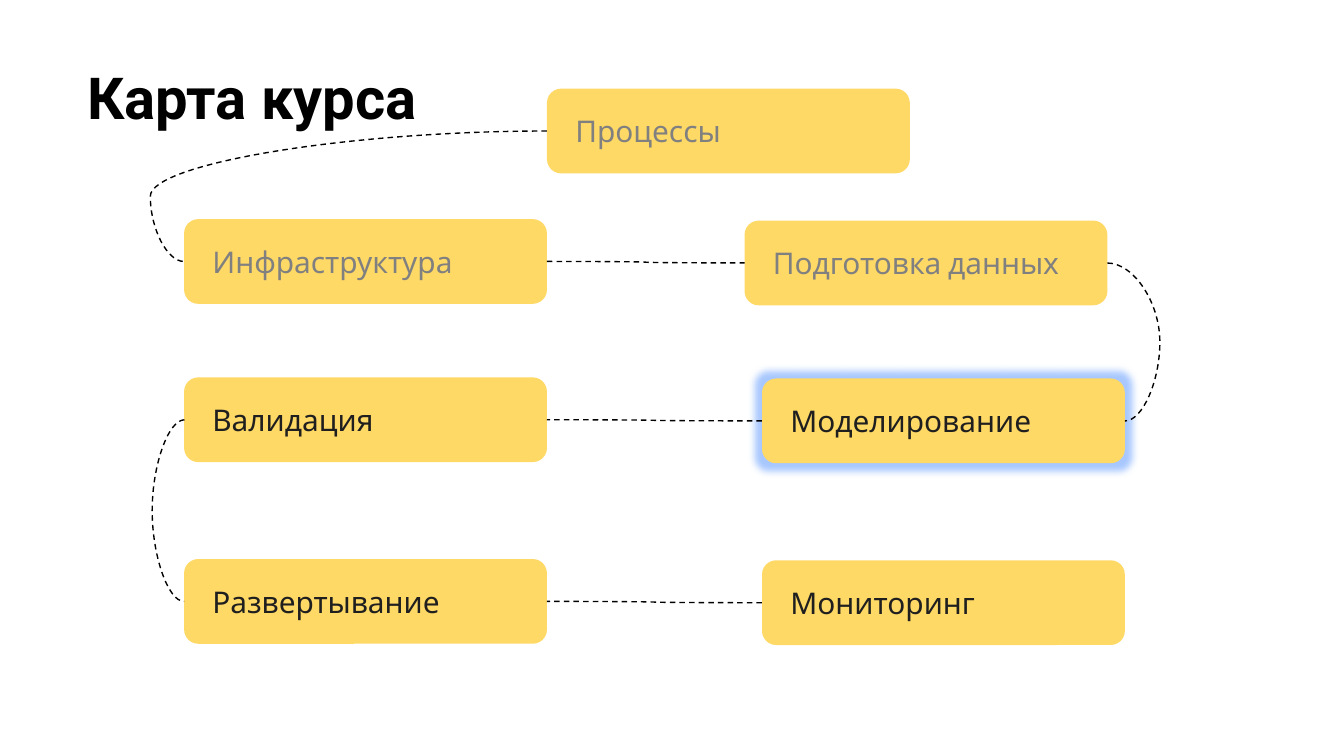
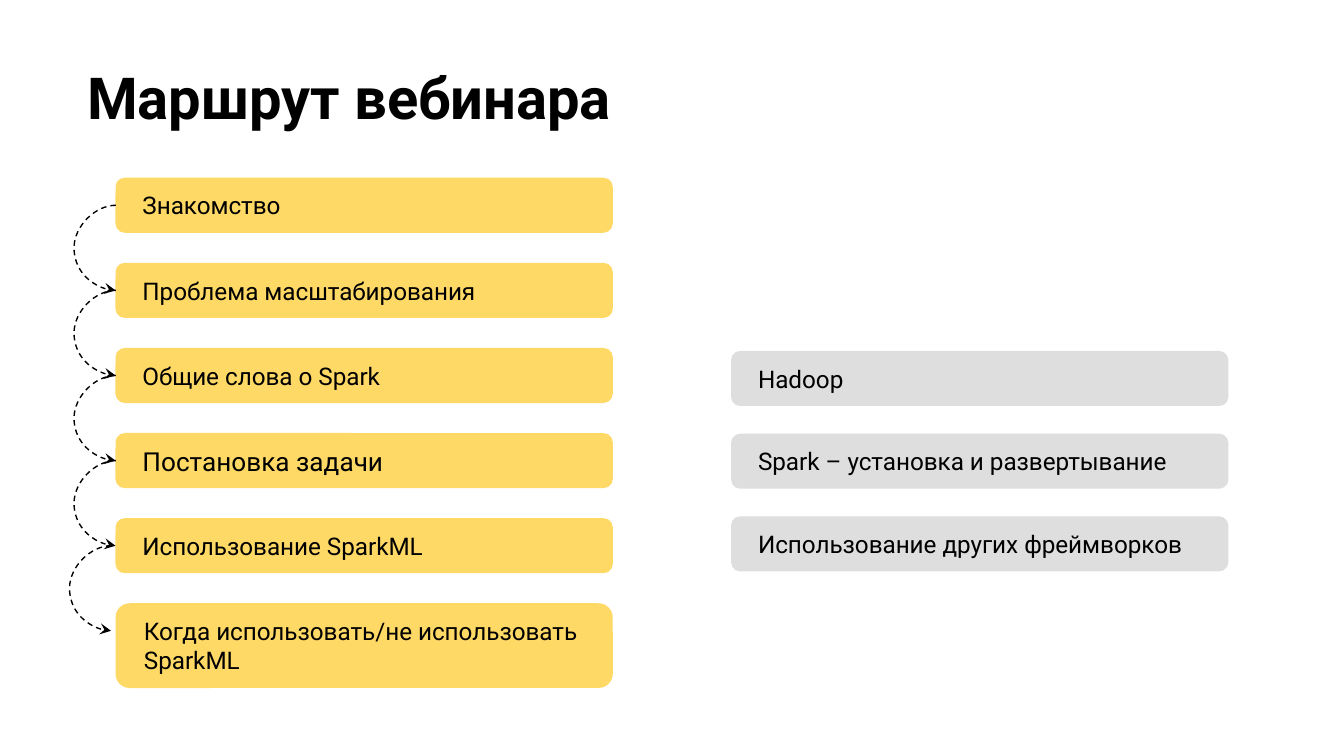
import pptx
import pptx.util
import pptx.dml.color
import pptx.enum.dml
import pptx.enum.shapes
import pptx.enum.text
import pptx.oxml.ns
import lxml.etree

Pt = pptx.util.Pt
GOLD, SILVER, BLACK, DARK, DIM, HALO = "FFD966", "DEDEDE", "000000", "1F1F1F", "808080", "A8C8FF"

MAP_TITLE = "Карта курса"
TOPICS = {
    "Процессы": (293.04, 47.5, DIM),
    "Инфраструктура": (98.64, 117.4, DIM),
    "Подготовка данных": (398.88, 118.2, DIM),
    "Моделирование": (408.24, 202.8, DARK),
    "Валидация": (98.64, 202.2, DARK),
    "Развертывание": (98.64, 299.5, DARK),
    "Мониторинг": (408.24, 300.2, DARK),
}
ACTIVE = "Моделирование"
LINKS = [
    ("Процессы", "left", "Инфраструктура", "left", 80.6),
    ("Инфраструктура", "right", "Подготовка данных", "left", None),
    ("Подготовка данных", "right", "Моделирование", "right", 621.4),
    ("Моделирование", "left", "Валидация", "right", None),
    ("Валидация", "left", "Развертывание", "left", 81.4),
    ("Мониторинг", "left", "Развертывание", "right", None),
]
TOPIC_W, TALL = 194.4, 45.4

ROUTE_TITLE = "Маршрут вебинара"
STEPS = [
    ("Знакомство", 13),
    ("Проблема масштабирования", 13),
    ("Общие слова о Spark", 13),
    ("Постановка задачи", 14),
    ("Использование SparkML", 13),
    ("Когда использовать/не использовать SparkML", 13),
]
EXTRAS = ["Hadoop", "Spark – установка и развертывание", "Использование других фреймворков"]
STEP_X, STEP_Y, STEP_GAP = 61.9, 95.2, 45.6
EXTRA_X, EXTRA_Y, EXTRA_GAP = 391.7, 188, 44.3
STEP_W, STEP_H, BOW, SHIFT = 266.4, 29.5, 22.4, 2.4


def rgb(code):
    return pptx.dml.color.RGBColor.from_string(code)


def node(parent, tag, **attrs):
    return lxml.etree.SubElement(parent, pptx.oxml.ns.qn(tag), **attrs)


def write(frame, text, size, face, color, side, bold=False):
    frame.word_wrap = True
    frame.margin_left = frame.margin_right = Pt(side)
    frame.margin_top = frame.margin_bottom = Pt(7.2)
    para = frame.paragraphs[0]
    para.alignment = pptx.enum.text.PP_ALIGN.LEFT
    run = para.add_run()
    run.text = text
    run.font.size = Pt(size)
    run.font.name = face
    run.font.bold = bold
    run.font.color.rgb = rgb(color)


def start(deck, title):
    slide = deck.slides.add_slide(deck.slide_layouts[6])
    box = slide.shapes.add_textbox(Pt(39.6), Pt(25.9), Pt(671), Pt(86.4))
    write(box.text_frame, title, 31, "Roboto", BLACK, 7.2, True)
    return slide


def card(slide, text, x, y, w, h, fill, size, face, color):
    kind = pptx.enum.shapes.MSO_SHAPE.ROUNDED_RECTANGLE
    shape = slide.shapes.add_shape(kind, Pt(x), Pt(y), Pt(w), Pt(h))
    shape.fill.solid()
    shape.fill.fore_color.rgb = rgb(fill)
    shape.line.fill.background()
    shape.shadow.inherit = False
    shape.text_frame.vertical_anchor = pptx.enum.text.MSO_ANCHOR.MIDDLE
    write(shape.text_frame, text, size, face, color, 13)
    return shape


def glow(shape, color, size):
    effects = shape.element.spPr.find(pptx.oxml.ns.qn("a:effectLst"))
    halo = node(effects, "a:glow", rad=str(Pt(size)))
    node(halo, "a:srgbClr", val=color)


def curve(slide, x1, y1, x2, y2, bend=None, arrow=False):
    if x1 == x2:
        x1 += 0.2
    kind = pptx.enum.shapes.MSO_CONNECTOR.CURVE
    link = slide.shapes.add_connector(kind, Pt(x1), Pt(y1), Pt(x2), Pt(y2))
    link.line.color.rgb = rgb(BLACK)
    link.line.width = Pt(0.75)
    link.line.dash_style = pptx.enum.dml.MSO_LINE.DASH
    props = link.element.spPr
    if bend is not None:
        ratio = round((bend - x1) / (x2 - x1) * 100000)
        guides = props.find(".//" + pptx.oxml.ns.qn("a:avLst"))
        node(guides, "a:gd", name="adj1", fmla=f"val {ratio}")
    if arrow:
        node(link.line._get_or_add_ln(), "a:tailEnd", type="stealth")
    node(props, "a:effectLst")


def port(topic, side):
    x, y, _ = TOPICS[topic]
    return x + (TOPIC_W if side == "right" else 0), y + TALL / 2


def draw_map(deck):
    slide = start(deck, MAP_TITLE)
    for text, (x, y, color) in TOPICS.items():
        shape = card(slide, text, x, y, TOPIC_W, TALL, GOLD, 16, "Cabin", color)
        if text == ACTIVE:
            glow(shape, HALO, 8)
    for first, out, last, into, bend in LINKS:
        curve(slide, *port(first, out), *port(last, into), bend)


def draw_route(deck):
    slide = start(deck, ROUTE_TITLE)
    end = len(STEPS) - 1
    for i, (text, size) in enumerate(STEPS):
        y = STEP_Y + i * STEP_GAP
        high = TALL if i == end else STEP_H
        card(slide, text, STEP_X, y, STEP_W, high, GOLD, size, "Roboto", BLACK)
    for i in range(end):
        x = STEP_X - (SHIFT if i == end - 1 else 0)
        y = STEP_Y + i * STEP_GAP + STEP_H / 2
        curve(slide, x, y, x, y + STEP_GAP, x - BOW, True)
    for i, text in enumerate(EXTRAS):
        y = EXTRA_Y + i * EXTRA_GAP
        card(slide, text, EXTRA_X, y, STEP_W, STEP_H, SILVER, 13, "Roboto", BLACK)


def main():
    deck = pptx.Presentation()
    deck.slide_width, deck.slide_height = Pt(720), Pt(405)
    draw_map(deck)
    draw_route(deck)
    deck.save("out.pptx")


if __name__ == "__main__":
    main()
